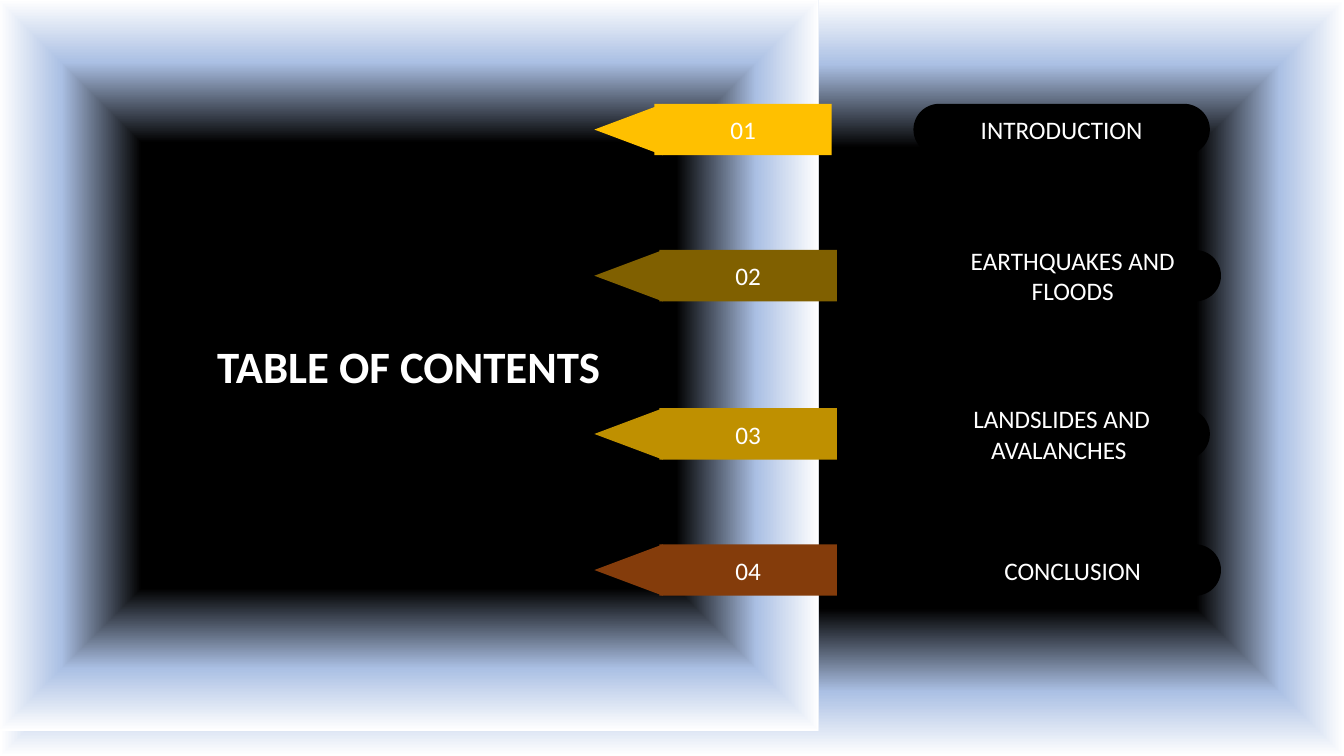
from lxml import etree
from pptx import Presentation
from pptx.dml.color import RGBColor
from pptx.enum.shapes import MSO_SHAPE
from pptx.enum.text import MSO_ANCHOR, MSO_AUTO_SIZE, PP_ALIGN
from pptx.oxml import parse_xml
from pptx.oxml.ns import nsdecls, qn
from pptx.util import Inches, Pt

RECT = MSO_SHAPE.RECTANGLE
TRIANGLE = MSO_SHAPE.ISOSCELES_TRIANGLE
PILL = MSO_SHAPE.ROUNDED_RECTANGLE
MIDDLE = MSO_ANCHOR.MIDDLE
CENTER = PP_ALIGN.CENTER
NO_AUTOFIT = MSO_AUTO_SIZE.NONE

FONT = "Calibri"
COLORS = {"text": "FFFFFF", "pill": "000000", "amber": "FFC000",
          "olive": "806000", "gold": "BF9000", "brown": "843C0B"}
GLOW_STOPS = [(61, "000000"), (83, "ABC0E4"), (100, "FFFFFF"), (100, "C7D5ED")]

TITLE = "TABLE OF CONTENTS"
# label, marker colour, top, marker left, pill left
SECTIONS = [
    ("INTRODUCTION", "amber", 1.03, 6.49, 9.06),
    ("EARTHQUAKES AND FLOODS", "olive", 2.48, 6.54, 9.17),
    ("LANDSLIDES AND AVALANCHES ", "gold", 4.05, 6.54, 9.06),
    ("CONCLUSION", "brown", 5.4, 6.54, 9.17),
]
ROW_H, MARKER_W, PILL_W = 0.51, 1.76, 2.94
TIP_LEFT, TIP_LENGTH = 5.98, 0.68


def set_text(sp, text, size, bold=False):
    tf = sp.text_frame
    tf.word_wrap = True
    tf.vertical_anchor = MIDDLE
    p = tf.paragraphs[0]
    p.alignment = CENTER
    r = p.add_run()
    r.text = text
    r.font.name = FONT
    r.font.size = Pt(size)
    r.font.bold = bold
    r.font.color.rgb = RGBColor.from_string(COLORS["text"])


def add_solid(shapes, kind, left, top, width, height, color):
    sp = shapes.add_shape(kind, Inches(left), Inches(top), Inches(width), Inches(height))
    sp.shadow.inherit = False
    sp.fill.solid()
    sp.fill.fore_color.rgb = RGBColor.from_string(COLORS[color])
    sp.line.fill.background()
    return sp


def set_glow(grad):
    """Turn a gradient fill element into a rectangular glow around its centre."""
    new = parse_xml(f'<a:gradFill {nsdecls("a")} rotWithShape="1"><a:gsLst/></a:gradFill>')
    for pos, color in GLOW_STOPS:
        gs = etree.SubElement(new[0], qn("a:gs"), pos=str(pos * 1000))
        etree.SubElement(gs, qn("a:srgbClr"), val=color)
    shade = etree.SubElement(new, qn("a:path"))
    shade.set("path", "shape")
    etree.SubElement(shade, qn("a:fillToRect"), l="50000", t="50000", r="50000", b="50000")
    grad.getparent().replace(grad, new)


def add_section(s, number, label, color, top, marker_left, pill_left):
    marker = s.shapes.add_group_shape().shapes
    sp = add_solid(marker, RECT, marker_left, top, MARKER_W, ROW_H, color)
    set_text(sp, f"{number:02d}", 18)
    tip_top = top + (ROW_H - TIP_LENGTH) / 2
    tip = add_solid(marker, TRIANGLE, TIP_LEFT, tip_top, ROW_H, TIP_LENGTH, color)
    tip.rotation = 270
    pill = add_solid(s.shapes, PILL, pill_left, top, PILL_W, ROW_H, "pill")
    pill.adjustments[0] = 0.5
    set_text(pill, label, 18)


def main():
    prs = Presentation()
    prs.slide_width, prs.slide_height = Inches(13.33), Inches(7.5)
    s = prs.slides.add_slide(prs.slide_layouts[5])
    s.background.fill.gradient()

    title = s.shapes.title
    title.left, title.top = Inches(-0.01), Inches(0)
    title.width, title.height = Inches(8.13), Inches(7.25)
    title.fill.gradient()
    set_text(title, TITLE, 32, bold=True)
    title.text_frame.auto_size = NO_AUTOFIT

    for grad in s.element.xpath(".//a:gradFill"):
        set_glow(grad)
    for number, section in enumerate(SECTIONS, 1):
        add_section(s, number, *section)
    prs.save("out.pptx")


if __name__ == "__main__":
    main()
